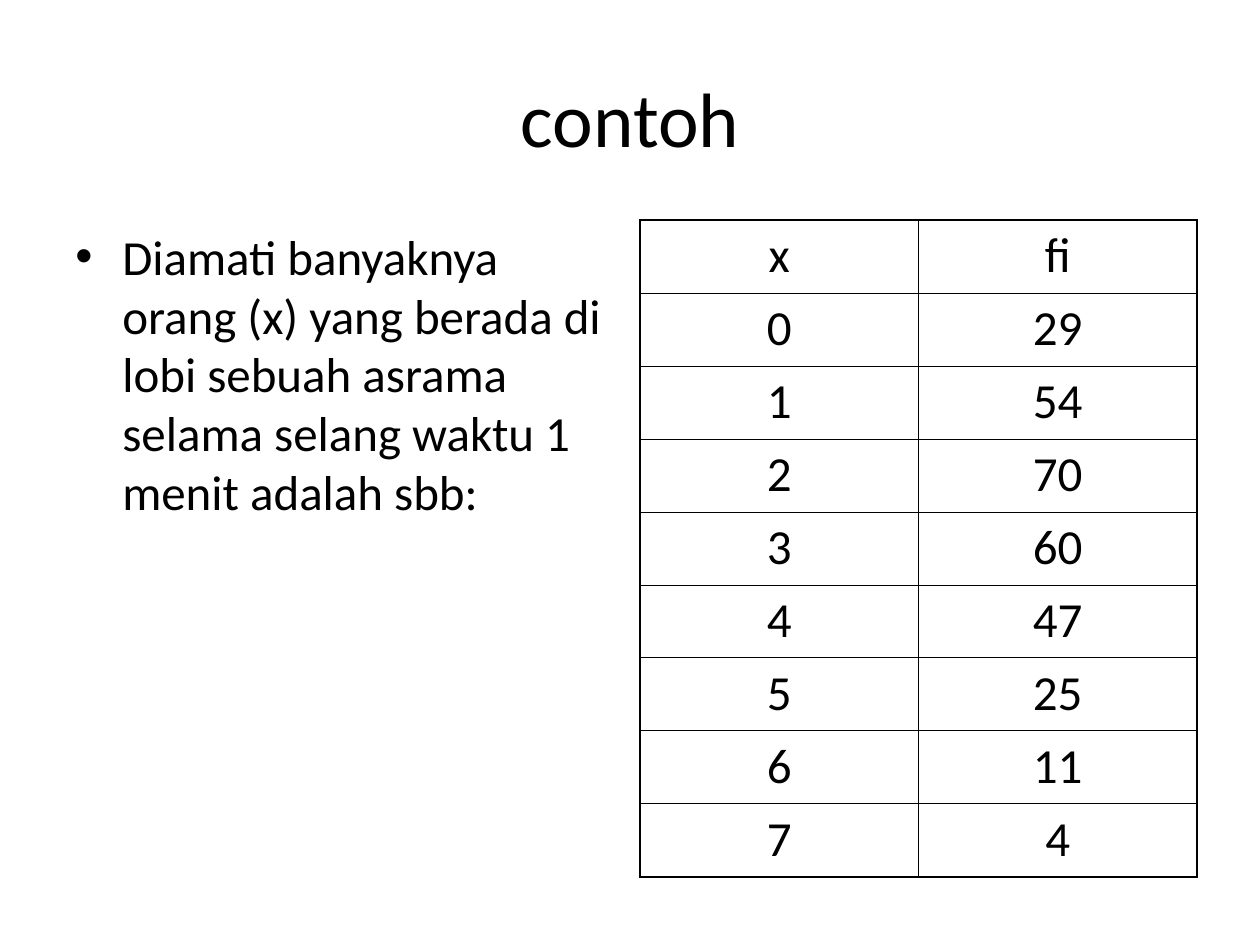
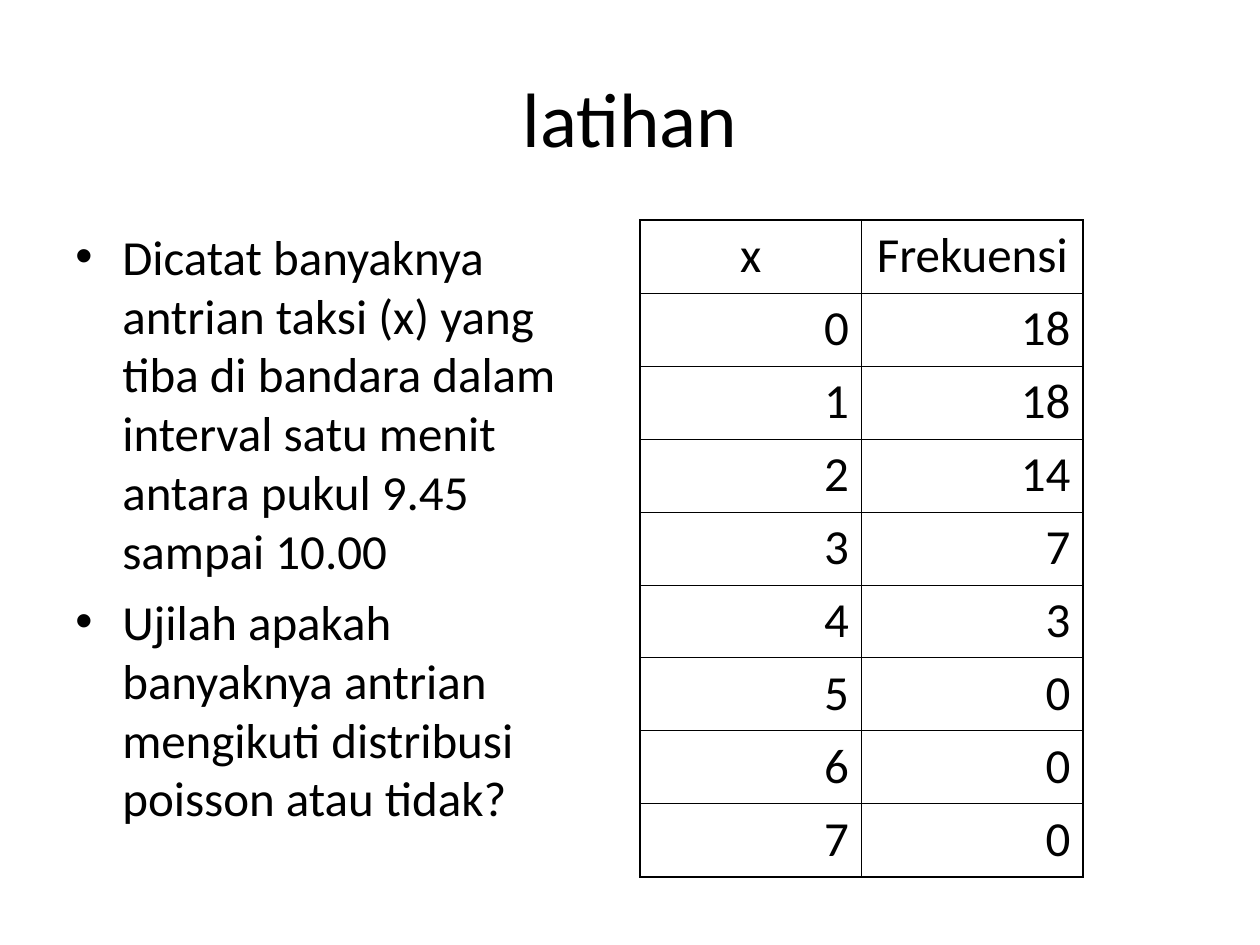
from dataclasses import dataclass

from lxml.etree import SubElement
from pptx import Presentation
from pptx.dml.color import RGBColor as Rgb
from pptx.enum.text import MSO_ANCHOR as Anchor
from pptx.enum.text import MSO_AUTO_SIZE as Fit
from pptx.enum.text import PP_ALIGN as Align
from pptx.oxml import parse_xml
from pptx.oxml.ns import nsdecls, qn
from pptx.util import Pt

SCALE = 914400 / 126


@dataclass(frozen=True)
class Theme:
    face: str = "Calibri"
    ink: str = "000000"
    head: int = 44
    body: int = 28
    gap: int = 7
    thin: float = 0.45
    thick: float = 1.08


THEME = Theme()


def px(size):
    return round(size * SCALE)


def place(shape, left, top, width, height):
    shape.left, shape.top = px(left), px(top)
    shape.width, shape.height = px(width), px(height)


def style(para, size, align):
    para.alignment = align
    for run in para.runs:
        run.font.name = THEME.face
        run.font.size = Pt(size)
        run.font.color.rgb = Rgb.from_string(THEME.ink)


def add_title(slide, text):
    title = slide.shapes.title
    place(title, 63, 38, 1134, 158)
    frame = title.text_frame
    frame.text = text
    frame.auto_size = Fit.NONE
    frame.vertical_anchor = Anchor.MIDDLE
    style(frame.paragraphs[0], THEME.head, Align.CENTER)


def add_bullet(para):
    props = para._p.get_or_add_pPr()
    props.set("marL", str(px(47)))
    props.set("indent", str(-px(47)))
    SubElement(props, qn("a:buFont")).set("typeface", "Arial")
    SubElement(props, qn("a:buChar")).set("char", "•")


def add_list(slide, items):
    box = slide.shapes.add_textbox(0, 0, 0, 0)
    place(box, 63, 220, 557, 624)
    frame = box.text_frame
    frame.word_wrap = True
    frame.text = "\n".join(items)
    for index, para in enumerate(frame.paragraphs):
        add_bullet(para)
        para.space_before = Pt(THEME.gap if index else 0)
        style(para, THEME.body, Align.LEFT)


def set_lines(cell, edges):
    props = cell._tc.get_or_add_tcPr()
    for index, (side, outer) in enumerate(edges.items()):
        width = Pt(THEME.thick if outer else THEME.thin)
        line = parse_xml(
            f'<a:ln{side} {nsdecls("a")} w="{width}"><a:solidFill>'
            f'<a:srgbClr val="{THEME.ink}"/></a:solidFill></a:ln{side}>'
        )
        props.insert(index, line)


def add_grid(slide, heads, counts, width, align):
    rows = [heads, *enumerate(counts)]
    last, end = len(rows) - 1, len(heads) - 1
    frame = slide.shapes.add_table(
        len(rows), len(heads), px(640), px(220), px(width), px(73 * len(rows))
    )
    table = frame.table
    table.first_row = table.horz_banding = False
    for r, row in enumerate(rows):
        for c, value in enumerate(row):
            cell = table.cell(r, c)
            cell.text = str(value)
            cell.fill.background()
            set_lines(cell, {"L": c == 0, "R": c == end, "T": r == 0, "B": r == last})
            style(cell.text_frame.paragraphs[0], THEME.body, align if r else Align.CENTER)


def add_page(deck, title, items, heads, counts, width, align):
    slide = deck.slides.add_slide(deck.slide_layouts.get_by_name("Title Only"))
    add_title(slide, title)
    add_list(slide, items)
    add_grid(slide, heads, counts, width, align)


def main():
    deck = Presentation()
    deck.slide_width, deck.slide_height = px(1260), px(945)
    add_page(
        deck,
        "contoh",
        ["Diamati banyaknya orang (x) yang berada di lobi sebuah asrama "
         "selama selang waktu 1 menit adalah sbb:"],
        ("x", "fi"),
        (29, 54, 70, 60, 47, 25, 11, 4),
        557,
        Align.CENTER,
    )
    add_page(
        deck,
        "latihan",
        ["Dicatat banyaknya antrian taksi (x) yang tiba di bandara dalam "
         "interval satu menit antara pukul 9.45 sampai 10.00",
         "Ujilah apakah banyaknya antrian mengikuti distribusi poisson atau tidak?"],
        ("x", "Frekuensi"),
        (18, 18, 14, 7, 3, 0, 0, 0),
        443,
        Align.RIGHT,
    )
    deck.save("out.pptx")


if __name__ == "__main__":
    main()
